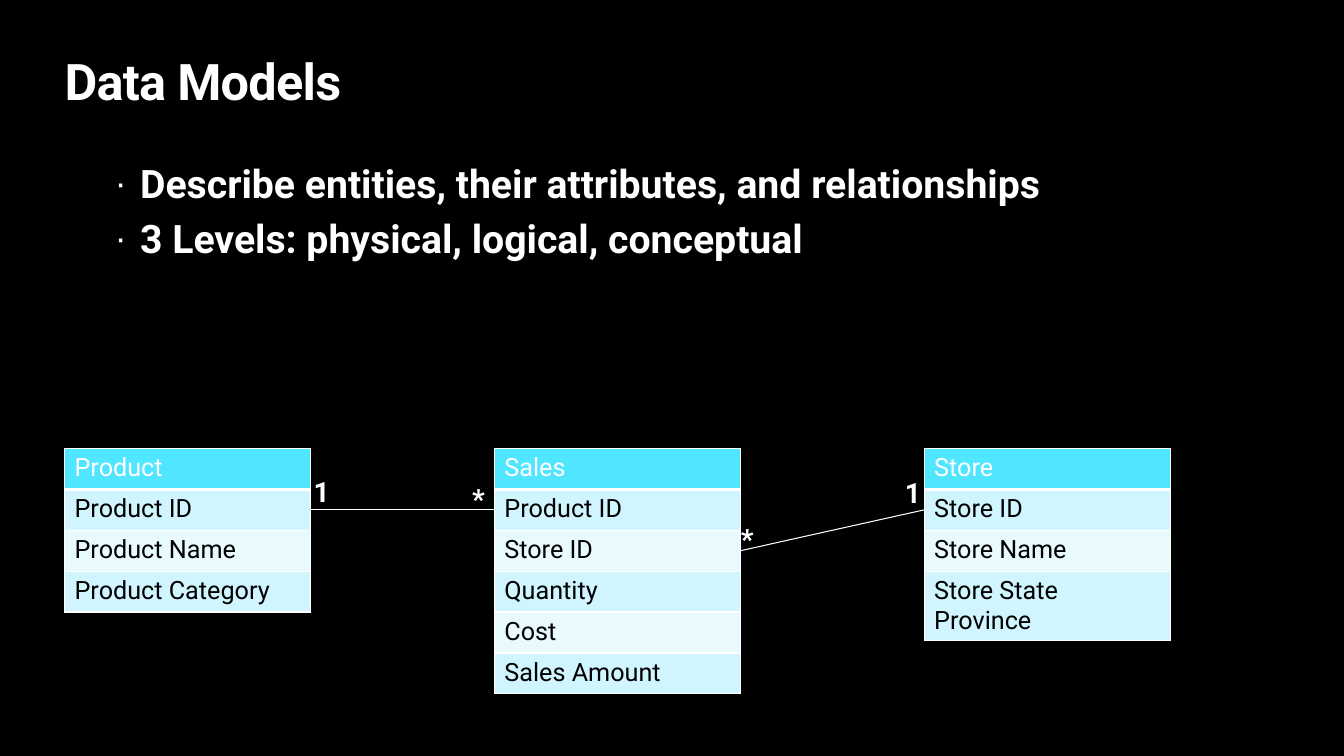
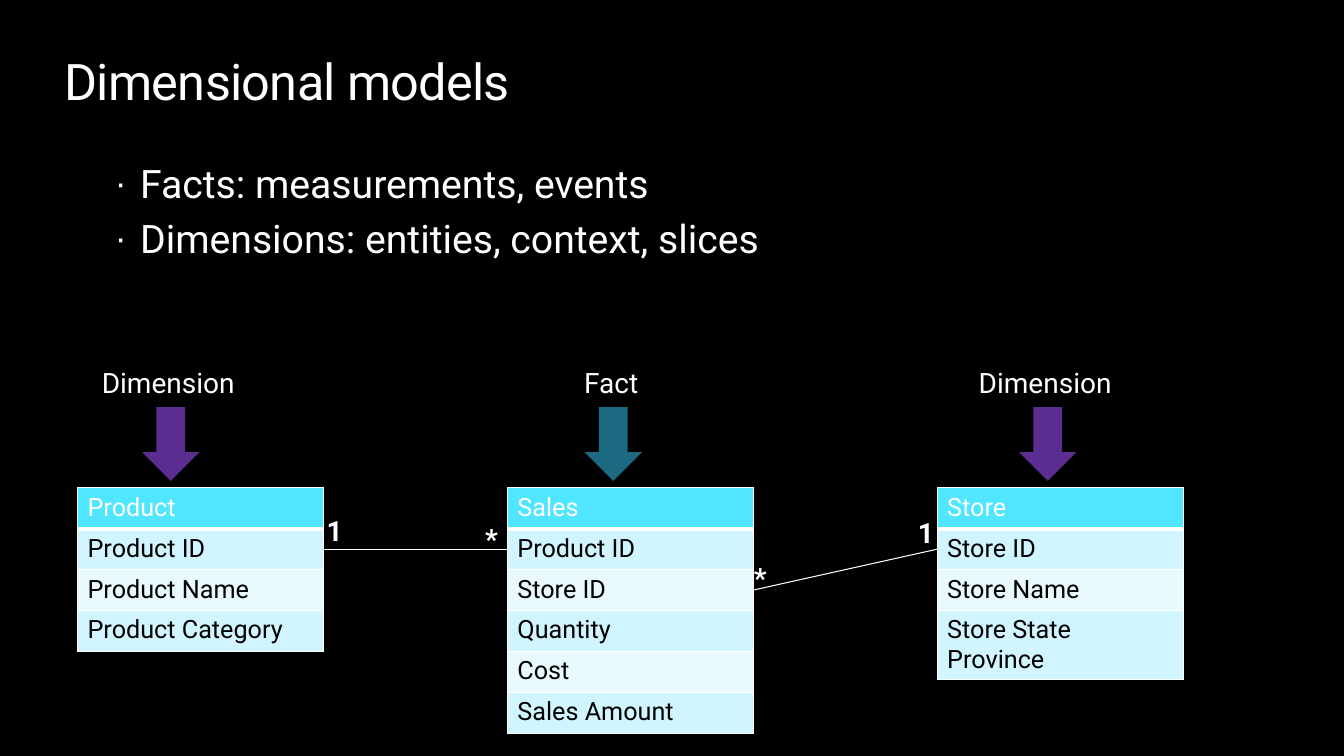
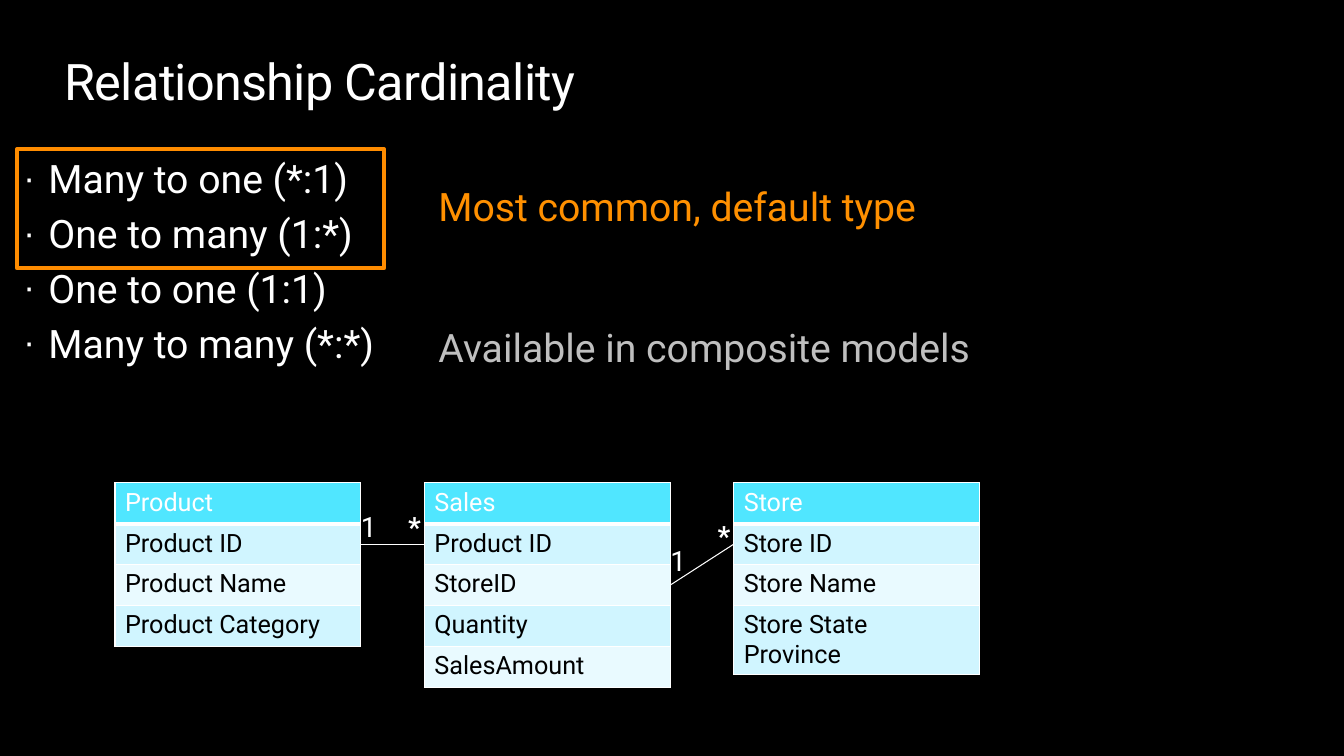
"""Build three slides on data models, dimensional models and cardinality."""
from lxml import etree
from pptx import Presentation
from pptx.dml.color import RGBColor
from pptx.enum import shapes, text
from pptx.oxml import ns
from pptx.util import Pt

FONT = "Roboto"
BLACK = RGBColor(0x00, 0x00, 0x00)
WHITE = RGBColor(0xFF, 0xFF, 0xFF)
CYAN = RGBColor(0x50, 0xE6, 0xFF)
BANDS = RGBColor(0xE9, 0xFA, 0xFF), RGBColor(0xD0, 0xF5, 0xFF)
PURPLE = RGBColor(0x5C, 0x2D, 0x91)
TEAL = RGBColor(0x1C, 0x69, 0x82)
FRAME_ORANGE = RGBColor(0xFF, 0x8C, 0x00)
TEXT_ORANGE = RGBColor(0xFF, 0x90, 0x00)
GREY = RGBColor(0xBF, 0xBF, 0xBF)

TITLE_BOX = 46.1, 36, 867.6, 43.9
BODY_BOX = 82.1, 113.8, 877.7, 234.7
TABLE_W, ROW_H = 175.7, 29.2

PRODUCT = ["Product", "Product ID", "Product Name", "Product Category"]
SALES = ["Sales", "Product ID", "Store ID", "Quantity", "Cost", "Sales Amount"]
SHORT_SALES = ["Sales", "Product ID", "StoreID", "Quantity", "SalesAmount"]
STORE = ["Store", "Store ID", "Store Name", "Store State Province"]

# Each link end: table index, row, mark, mark offset from the end, bold.
LINKS = [
    ((0, 1, "1", 2.2, -25.5, True), (1, 1, "*", -15.8, -20, True)),
    ((1, 2, "*", 0.4, -21, True), (2, 1, "1", -13.7, -24.3, True)),
]
CLOSE_LINKS = [
    ((0, 1, "1", 0, -25, False), (1, 1, "*", -11.5, -25, True)),
    ((1, 2, "1", 0, -29.5, False), (2, 1, "*", -11.5, -18, True)),
]

SLIDES = [
    dict(title="Data Models", bold=True,
         bullets=["Describe entities, their attributes, and relationships",
                  "3 Levels: physical, logical, conceptual"],
         tables=[PRODUCT, SALES, STORE], left=46.1, top=320.4, pitch=307,
         links=LINKS),
    dict(title="Dimensional models",
         bullets=["Facts: measurements, events",
                  "Dimensions: entities, context, slices"],
         tables=[PRODUCT, SALES, STORE], left=55.4, top=348.5, pitch=307,
         links=LINKS,
         roles=[("Dimension", 72.7, 105.1, 101.5, False, PURPLE),
                ("Fact", 379.4, 114.5, 417.6, True, TEAL),
                ("Dimension", 699.1, 105.1, 727.9, False, PURPLE)]),
    dict(title="Relationship Cardinality",
         bullets=["Many to one (*:1)", "One to many (1:*)",
                  "One to one (1:1)", "Many to many (*:*)"],
         body=(16.6, 110.2, 305.3, 187.9),
         tables=[PRODUCT, SHORT_SALES, STORE], left=82.1, top=344.9, pitch=221,
         links=CLOSE_LINKS,
         frame=(12.2, 106.6, 262.1, 85),
         notes=[("Most common, default type", (313.2, 130.3, 365, 33.8), TEXT_ORANGE),
                ("Available in composite models", (313.2, 231.1, 524.2, 33.8), GREY)]),
]


def add_xml(parent, tag, **attrs):
    return etree.SubElement(parent, ns.qn(tag), attrs)


def place(sp, box):
    sp.left, sp.top, sp.width, sp.height = map(Pt, box)


def style(p, size, color=WHITE, bold=False):
    for r in p.runs:
        r.font.name, r.font.size, r.font.bold = FONT, Pt(size), bold
        r.font.color.rgb = color


def bare_frame(sp):
    tf = sp.text_frame
    tf.margin_left = tf.margin_top = tf.margin_right = tf.margin_bottom = 0
    tf.word_wrap, tf.auto_size = True, text.MSO_AUTO_SIZE.NONE
    tf.vertical_anchor = text.MSO_ANCHOR.TOP
    return tf


def add_text(s, words, box, size, color=WHITE, bold=False, centred=False):
    tf = bare_frame(s.shapes.add_textbox(*map(Pt, box)))
    tf.text = words
    p = tf.paragraphs[0]
    p.alignment = text.PP_ALIGN.CENTER if centred else text.PP_ALIGN.LEFT
    style(p, size, color, bold)


def fill_title(s, words, bold):
    tf = bare_frame(s.shapes.title)
    tf.text = words
    p = tf.paragraphs[0]
    p.alignment = text.PP_ALIGN.LEFT
    style(p, 36, bold=bold)
    p.runs[0]._r.get_or_add_rPr().set("spc", "-50")


def fill_body(s, bullets, bold, box):
    sp = s.placeholders[1]
    if box:
        place(sp, box)
    tf = bare_frame(sp)
    tf.text = "\n".join(bullets)
    for p in tf.paragraphs:
        style(p, 28, bold=bold)
        pPr = p._p.get_or_add_pPr()
        pPr.set("marL", str(Pt(18)))
        pPr.set("indent", str(Pt(-18)))
        add_xml(pPr, "a:buSzPct", val="90000")
        add_xml(pPr, "a:buChar", char="·")


def add_borders(cell, header):
    tcPr = cell._tc.get_or_add_tcPr()
    for side in "LRTB":
        width = 3 if header and side == "B" else 1
        ln = add_xml(tcPr, "a:ln" + side, w=str(Pt(width)))
        add_xml(add_xml(ln, "a:solidFill"), "a:srgbClr", val=str(WHITE))


def add_entity(s, rows, left, top):
    box = left, top, TABLE_W, ROW_H * len(rows)
    tbl = s.shapes.add_table(len(rows), 1, *map(Pt, box)).table
    for i, words in enumerate(rows):
        cell = tbl.cell(i, 0)
        add_borders(cell, i == 0)
        cell.fill.solid()
        cell.fill.fore_color.rgb = BANDS[i % 2] if i else CYAN
        cell.text = words
        style(cell.text_frame.paragraphs[0], 18, BLACK if i else WHITE)


def add_link(s, ends, lefts, top):
    points = []
    for side, (table, row, mark, dx, dy, bold) in enumerate(ends):
        x = lefts[table] + (0 if side else TABLE_W)
        y = top + ROW_H * (row + 0.5)
        points += [x, y]
        add_text(s, mark, (x + dx, y + dy, 20, 24.5), 20, bold=bold)
    cx = s.shapes.add_connector(shapes.MSO_CONNECTOR.STRAIGHT, *map(Pt, points))
    cx.line.color.rgb, cx.line.width = WHITE, Pt(0.75)
    add_xml(cx._element.spPr, "a:effectLst")


def add_role(s, words, left, width, arrow_left, centred, color):
    sp = s.shapes.add_shape(shapes.MSO_SHAPE.DOWN_ARROW,
                            *map(Pt, (arrow_left, 290.9, 41, 52.6)))
    sp.shadow.inherit = False
    sp.fill.solid()
    sp.fill.fore_color.rgb = color
    sp.line.fill.background()
    add_text(s, words, (left, 261.4, width, 24.5), 20, centred=centred)


def add_frame(s, box):
    sp = s.shapes.add_shape(shapes.MSO_SHAPE.RECTANGLE, *map(Pt, box))
    sp.shadow.inherit = False
    sp.fill.background()
    sp.line.color.rgb, sp.line.width = FRAME_ORANGE, Pt(3)


def main():
    prs = Presentation()
    prs.slide_width, prs.slide_height = Pt(960), Pt(540)
    fill = prs.slide_master.background.fill
    fill.solid()
    fill.fore_color.rgb = BLACK
    layout = prs.slide_layouts[1]
    for sp, box in zip(layout.placeholders, (TITLE_BOX, BODY_BOX)):
        place(sp, box)
    for d in SLIDES:
        s = prs.slides.add_slide(layout)
        bold = d.get("bold", False)
        fill_title(s, d["title"], bold)
        fill_body(s, d["bullets"], bold, d.get("body"))
        if "frame" in d:
            add_frame(s, d["frame"])
        for words, box, color in d.get("notes", []):
            add_text(s, words, box, 28, color)
        lefts = [d["left"] + d["pitch"] * i for i in range(len(d["tables"]))]
        for rows, left in zip(d["tables"], lefts):
            add_entity(s, rows, left, d["top"])
        for ends in d["links"]:
            add_link(s, ends, lefts, d["top"])
        for role in d.get("roles", []):
            add_role(s, *role)
    prs.save("out.pptx")


if __name__ == "__main__":
    main()
